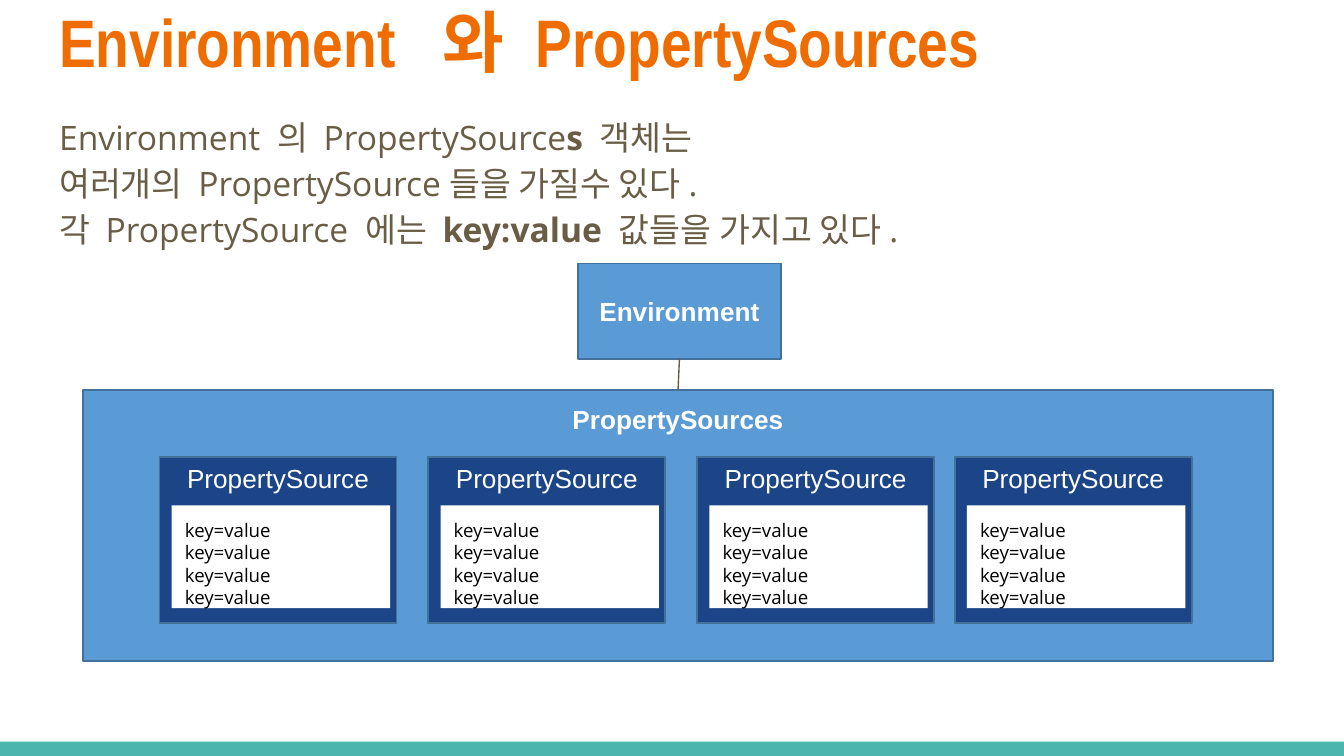
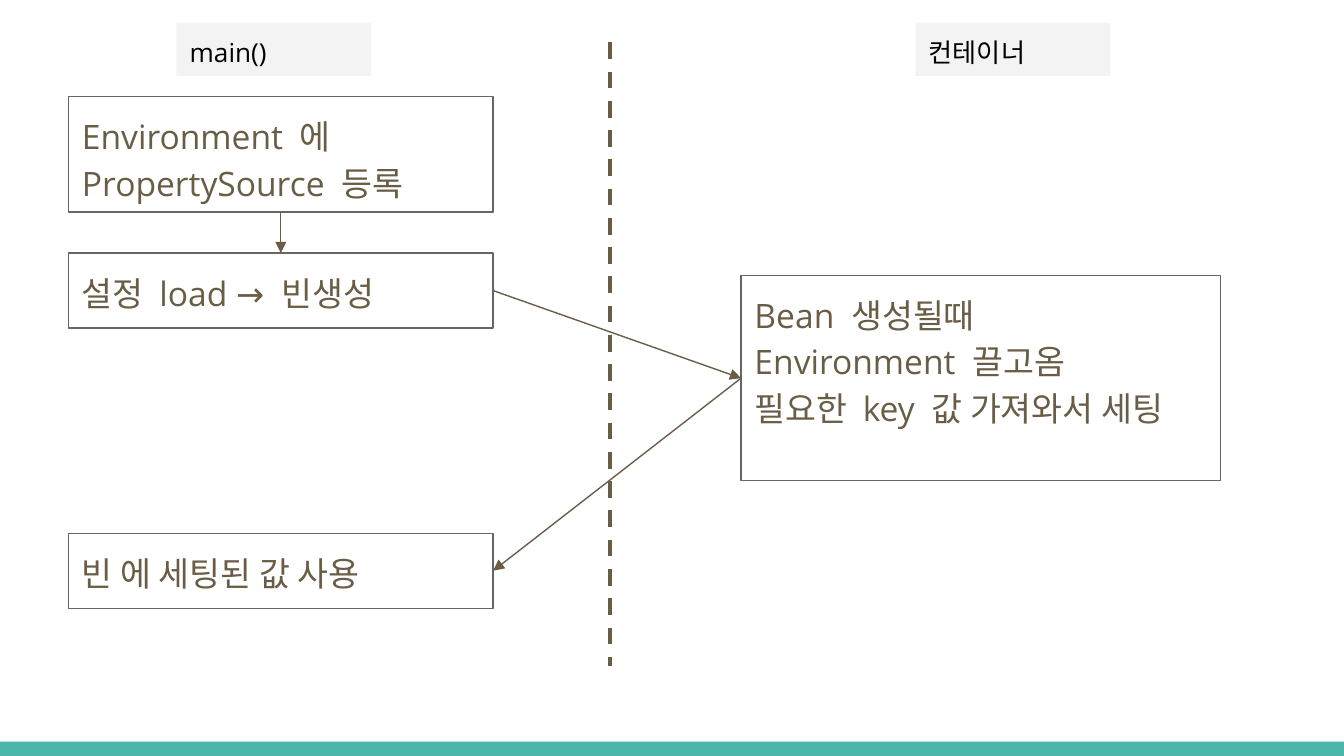
from collections import namedtuple

from lxml.etree import SubElement
from pptx import Presentation
from pptx.dml.color import RGBColor
from pptx.enum.dml import MSO_LINE
from pptx.enum.shapes import MSO_CONNECTOR, MSO_SHAPE
from pptx.enum.text import MSO_ANCHOR, MSO_AUTO_SIZE, PP_ALIGN
from pptx.oxml.ns import qn
from pptx.util import Pt

Box = namedtuple("Box", "left top width height")

COLORS = {
    "band": "4DB6AC",
    "title": "EF6C00",
    "text": "695D46",
    "panel": "5B9BD5",
    "panel_line": "42719B",
    "source": "1C4587",
    "step_line": "666666",
    "label": "F3F3F3",
    "white": "FFFFFF",
    "black": "000000",
}
FONT_BODY = "Open Sans"
FONT_DIAGRAM = "Arial"
FONT_TITLE = "Arial Narrow"
WIDE_INSETS = (7.2, 7.2)
TIGHT_INSETS = (5, 3)
TOP, LEFT, BOTTOM, RIGHT = range(4)


def color(name):
    return RGBColor.from_string(COLORS[name])


def place(shape, box):
    shape.left, shape.top, shape.width, shape.height = map(Pt, box)


def set_frame(shape, insets=WIDE_INSETS, anchor=MSO_ANCHOR.TOP):
    frame = shape.text_frame
    frame.word_wrap = True
    frame.auto_size = MSO_AUTO_SIZE.NONE
    frame.vertical_anchor = anchor
    frame.margin_left = frame.margin_right = Pt(insets[0])
    frame.margin_top = frame.margin_bottom = Pt(insets[1])
    return frame.paragraphs[0]


def format_runs(paragraph, font, size, color_name, bold=False, align=PP_ALIGN.LEFT):
    paragraph.alignment = align
    for run in paragraph.runs:
        run.font.name = font
        run.font.size = Pt(size)
        run.font.bold = bold
        run.font.color.rgb = color(color_name)


def add_rectangle(slide, box, fill, line=None):
    shape = slide.shapes.add_shape(MSO_SHAPE.RECTANGLE, *map(Pt, box))
    shape.shadow.inherit = False
    shape.fill.solid()
    shape.fill.fore_color.rgb = color(fill)
    if line:
        shape.line.color.rgb = color(line)
        shape.line.width = Pt(1)
    else:
        shape.line.fill.background()
    return shape


def add_diagram_box(slide, box, text, fill, bold=True, insets=TIGHT_INSETS, anchor=MSO_ANCHOR.TOP):
    shape = add_rectangle(slide, box, fill, "panel_line")
    paragraph = set_frame(shape, insets, anchor)
    paragraph.text = text
    format_runs(paragraph, FONT_DIAGRAM, 14, "white", bold, PP_ALIGN.CENTER)
    return shape


def add_note_box(slide, box, text, fill, size):
    paragraph = set_frame(add_rectangle(slide, box, fill))
    paragraph.text = text
    format_runs(paragraph, FONT_BODY, size, "black")


def style_line(connector, width=0.75, dash=None, arrow=False):
    connector.line.color.rgb = color("text")
    connector.line.width = Pt(width)
    if dash:
        connector.line.dash_style = dash
    properties = connector.element.spPr
    if arrow:
        SubElement(properties.find(qn("a:ln")), qn("a:tailEnd"), type="triangle")
    SubElement(properties, qn("a:effectLst"))


def link(slide, start, start_side, end, end_side, arrow=True):
    connector = slide.shapes.add_connector(MSO_CONNECTOR.STRAIGHT, 0, 0, 0, 0)
    connector.begin_connect(start, start_side)
    connector.end_connect(end, end_side)
    style_line(connector, arrow=arrow)


def fill_title(shape, box, text):
    place(shape, box)
    paragraph = set_frame(shape)
    paragraph.text = text
    format_runs(paragraph, FONT_TITLE, 36, "title", True)


def fill_body(shape, box, lines, space_after=0):
    place(shape, box)
    paragraph = set_frame(shape)
    properties = paragraph._p.get_or_add_pPr()
    properties.set("marL", "0")
    properties.set("indent", "0")
    SubElement(properties, qn("a:buNone"))
    paragraph.text = "\n".join(lines)
    paragraph.line_spacing = 1.15
    paragraph.space_before = Pt(0)
    paragraph.space_after = Pt(space_after)
    format_runs(paragraph, FONT_BODY, 18, "text")
    return paragraph


def fill_emphasis_body(shape, box, lines):
    paragraph = fill_body(shape, box, [], 16)
    bold_runs = []
    for index, line in enumerate(lines):
        if index:
            paragraph.add_line_break()
        for text, bold in line:
            run = paragraph.add_run()
            run.text = text
            if bold:
                bold_runs.append(run)
    format_runs(paragraph, FONT_BODY, 18, "text")
    for run in bold_runs:
        run.font.bold = True


def add_master_band(presentation, slide, box):
    band = add_rectangle(slide, box, "band")
    band.element.nvSpPr.cNvPr.set("id", "20")
    presentation.slide_master.shapes.element.insert(2, band.element)


def add_property_source(slide, box):
    add_diagram_box(slide, box, "PropertySource", "source", bold=False)
    values = Box(box.left + 6.5, box.top + 26, box.width - 10, box.height - 34)
    add_note_box(slide, values, "\n".join(["key=value"] * 4), "white", 10)


def add_property_sources(slide, box):
    panel = add_diagram_box(slide, box, "PropertySources", "panel", insets=WIDE_INSETS)
    for offset in (41, 185, 329, 467):
        add_property_source(slide, Box(box.left + offset, box.top + 36, 127, 89))
    return panel


def build_sources_slide(presentation):
    slide = presentation.slides.add_slide(presentation.slide_layouts[1])
    fill_title(slide.shapes.title, Box(24.5, -7.2, 671, 55.5), "Environment  와 PropertySources")
    fill_emphasis_body(slide.placeholders[1], Box(24.5, 52, 671, 60), [
        [("Environment 의 PropertySource", False), ("s", True), (" 객체는 ", False)],
        [("여러개의 PropertySource들을 가질수 있다.", False)],
        [("각 PropertySource 에는 ", False), ("key:value", True), (" 값들을 가지고 있다.", False)],
    ])
    panel = add_property_sources(slide, Box(44.5, 208.8, 637.5, 145.5))
    environment = add_diagram_box(slide, Box(309.5, 141.2, 109, 51), "Environment", "panel",
                                  anchor=MSO_ANCHOR.MIDDLE)
    link(slide, environment, BOTTOM, panel, TOP, arrow=False)
    return slide


def add_lane_labels(slide, box, lane_step, labels):
    for index, label in enumerate(labels):
        add_note_box(slide, box._replace(left=box.left + index * lane_step), label, "label", 14)


def add_lane_divider(slide, box):
    divider = slide.shapes.add_connector(
        MSO_CONNECTOR.STRAIGHT, Pt(box.left), Pt(box.top), Pt(box.left), Pt(box.top + box.height))
    style_line(divider, 2.25, MSO_LINE.DASH)


def build_flow_slide(presentation):
    slide = presentation.slides.add_slide(presentation.slide_layouts[4])
    title = slide.shapes.title.element
    title.getparent().remove(title)
    main_left, main_width = 36.7, 227.5
    steps = [
        (Box(main_left, 51.8, main_width, 61.8), ["Environment 에", "PropertySource 등록"], 0),
        (Box(397, 147.6, 257, 110), ["Bean 생성될때", "Environment 끌고옴", "필요한 key 값 가져와서 세팅"], 0),
        (Box(main_left, 135.6, main_width, 40.2), ["설정 load → 빈생성"], 16),
        (Box(main_left, 285.7, main_width, 40.2), ["빈 에 세팅된 값 사용"], 16),
    ]
    bodies = list(slide.placeholders)
    for body, (box, lines, space_after) in zip(bodies, steps):
        fill_body(body, box, lines, space_after)
        body.line.color.rgb = color("step_line")
        body.line.width = Pt(0.75)
    register, bean, load, use = bodies
    add_lane_divider(slide, Box(326.8, 22.7, 0, 334))
    link(slide, register, BOTTOM, load, TOP)
    link(slide, load, RIGHT, bean, LEFT)
    link(slide, bean, LEFT, use, RIGHT)
    add_lane_labels(slide, Box(94.5, 12.2, 104.4, 28.5), 396, ["main()", "컨테이너"])


def main():
    presentation = Presentation()
    presentation.slide_width = Pt(720)
    presentation.slide_height = Pt(405)
    slide = build_sources_slide(presentation)
    add_master_band(presentation, slide, Box(0, 397.4, 720, 7.6))
    build_flow_slide(presentation)
    presentation.save("out.pptx")


if __name__ == "__main__":
    main()
